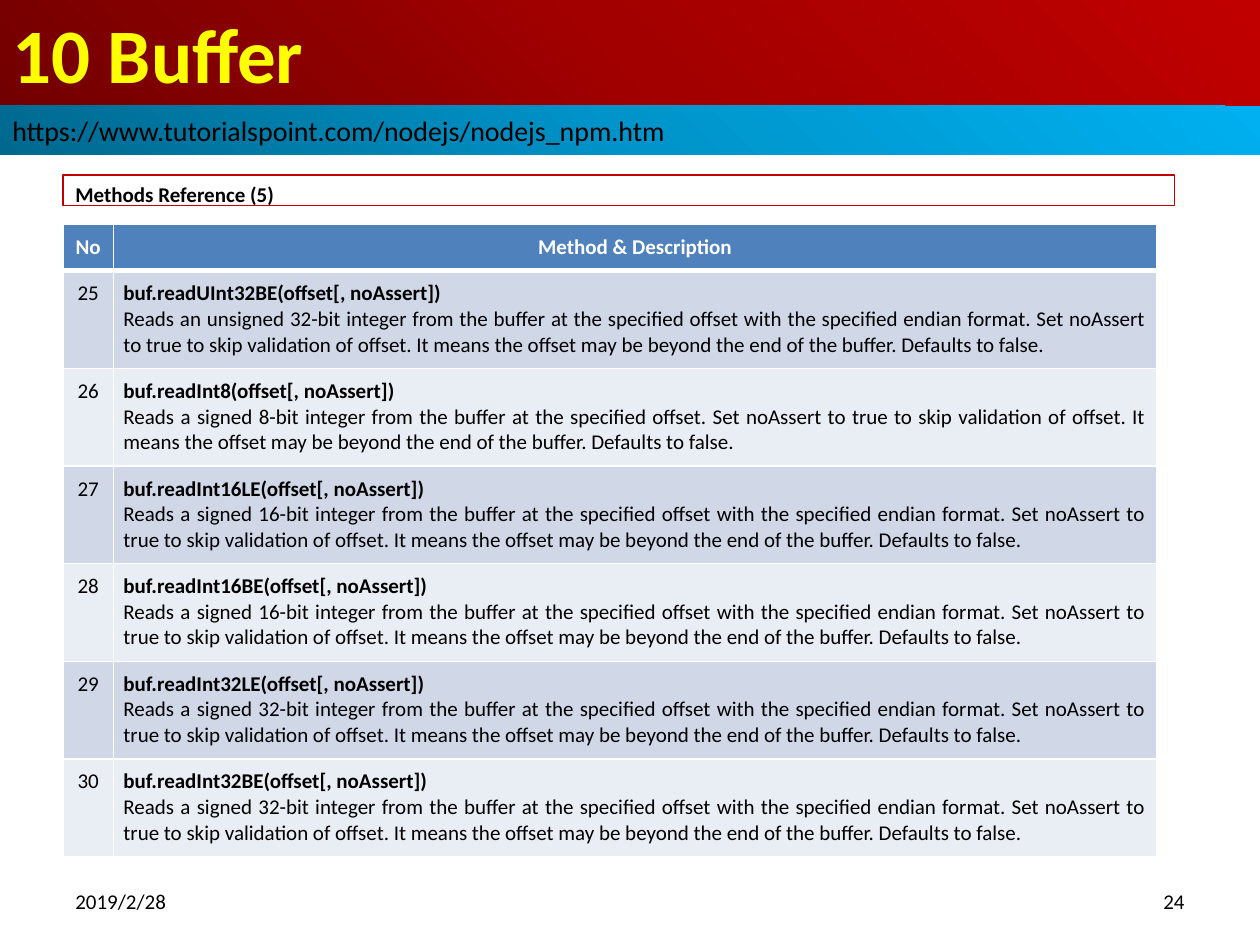
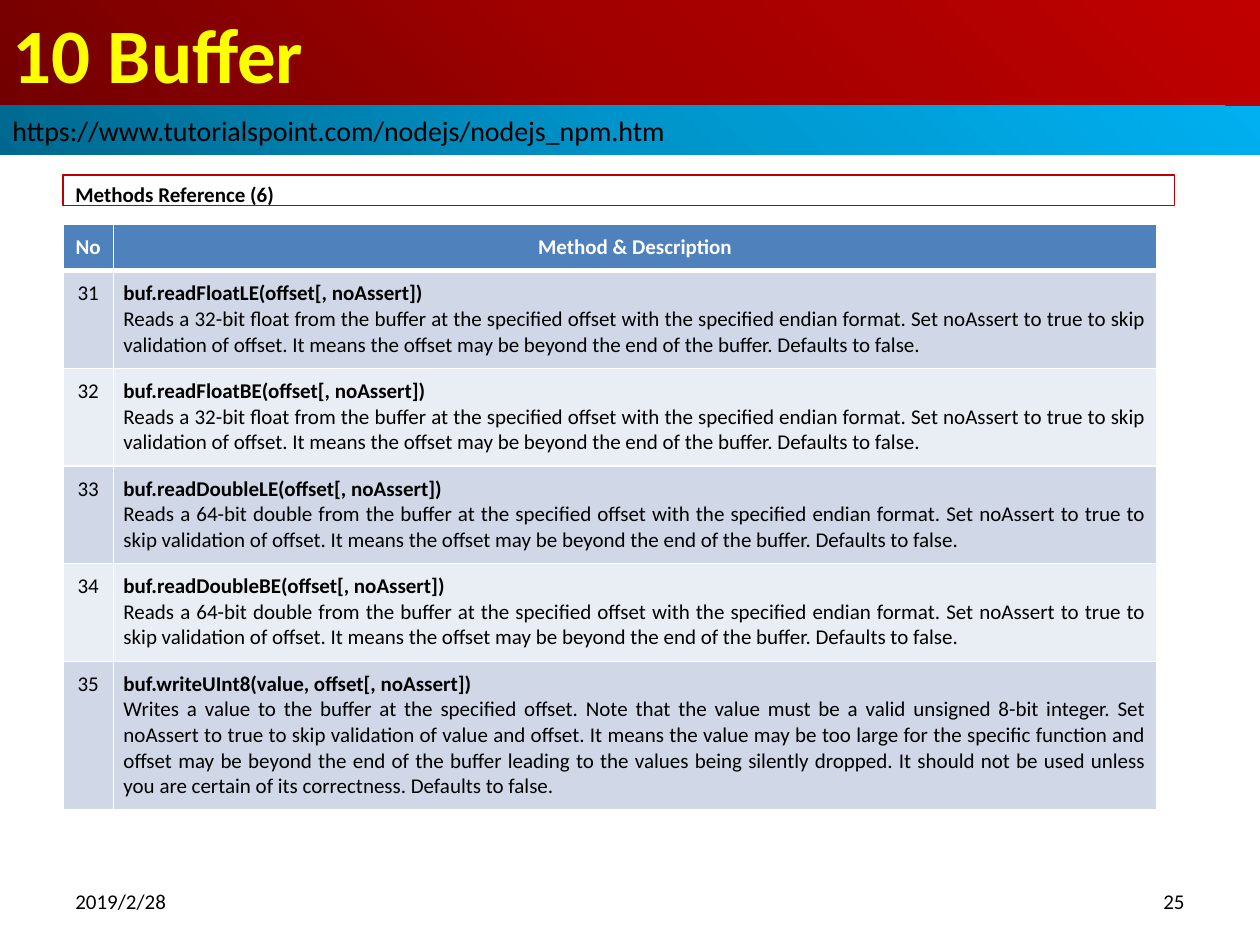
from math import ceil

from lxml import etree
from pptx import Presentation
from pptx.dml.color import RGBColor
from pptx.enum.shapes import MSO_SHAPE
from pptx.enum.text import MSO_ANCHOR, MSO_AUTO_SIZE, PP_ALIGN
from pptx.oxml.ns import qn
from pptx.util import Inches, Pt

TITLE = "10 Buffer"
SOURCE = "https://www.tutorialspoint.com/nodejs/nodejs_npm.htm"
DATE = "2019/2/28"
HEADERS = ("No", "Method & Description")

OFFSET = "from the buffer at the specified offset"
ENDIAN = f"{OFFSET} with the specified endian format."
SKIP = ("Set noAssert to true to skip validation of offset. It means the offset may be "
        "beyond the end of the buffer. Defaults to false.")
READ_ARGS = "(offset[, noAssert])"


def reader(name, value):
    return f"buf.{name}{READ_ARGS}", f"Reads {value} {ENDIAN} {SKIP}"


PAGES = [
    {"number": 24, "heading": "Methods Reference (5)", "first": 25, "methods": [
        reader("readUInt32BE", "an unsigned 32-bit integer"),
        (f"buf.readInt8{READ_ARGS}", f"Reads a signed 8-bit integer {OFFSET}. {SKIP}"),
        reader("readInt16LE", "a signed 16-bit integer"),
        reader("readInt16BE", "a signed 16-bit integer"),
        reader("readInt32LE", "a signed 32-bit integer"),
        reader("readInt32BE", "a signed 32-bit integer"),
    ]},
    {"number": 25, "heading": "Methods Reference (6)", "first": 31, "methods": [
        reader("readFloatLE", "a 32-bit float"),
        reader("readFloatBE", "a 32-bit float"),
        reader("readDoubleLE", "a 64-bit double"),
        reader("readDoubleBE", "a 64-bit double"),
        ("buf.writeUInt8(value, offset[, noAssert])",
         "Writes a value to the buffer at the specified offset. Note that the value must be a "
         "valid unsigned 8-bit integer. Set noAssert to true to skip validation of value and "
         "offset. It means the value may be too large for the specific function and offset may "
         "be beyond the end of the buffer leading to the values being silently dropped. It "
         "should not be used unless you are certain of its correctness. Defaults to false."),
    ]},
]

FONT = "Calibri"
BLACK = RGBColor(0x00, 0x00, 0x00)
WHITE = RGBColor(0xFF, 0xFF, 0xFF)
YELLOW = RGBColor(0xFF, 0xFF, 0x00)
RED = RGBColor(0xC0, 0x00, 0x00)
BULLET_BLUE = RGBColor(0x00, 0x70, 0xC0)
HEADER_BLUE = RGBColor(0x4F, 0x81, 0xBD)
BANDS = (RGBColor(0xD0, 0xD8, 0xE8), RGBColor(0xE9, 0xED, 0xF4))
RED_SHADES = (RGBColor(0x72, 0x00, 0x00), RGBColor(0xA2, 0x00, 0x00), RED)
BLUE_SHADES = (RGBColor(0x00, 0x68, 0x8E), RGBColor(0x00, 0x94, 0xCA), RGBColor(0x00, 0xB0, 0xF0))

LEFT, CENTER, RIGHT, JUSTIFY = PP_ALIGN.LEFT, PP_ALIGN.CENTER, PP_ALIGN.RIGHT, PP_ALIGN.JUSTIFY
TOP, MIDDLE = MSO_ANCHOR.TOP, MSO_ANCHOR.MIDDLE
RECTANGLE = MSO_SHAPE.RECTANGLE
TITLE_ONLY = 5

WIDTH, HEIGHT = Inches(10), Inches(7.5)
MARGIN = Inches(0.5)
TITLE_HEIGHT, SOURCE_HEIGHT = Inches(0.84), Inches(0.39)
HEADING_TOP, HEADING_WIDTH, HEADING_HEIGHT = Inches(1.39), Inches(8.82), Inches(0.24)
TABLE_TOP = Inches(1.78)
COLUMNS = (Inches(0.4), Inches(8.28))
CELL_INSET = Inches(0.08)
ROW_PADDING, LINE_HEIGHT = Pt(12), Pt(14.6)
CHARACTERS_PER_LINE = 120
FOOTER_TOP, FOOTER_WIDTH, FOOTER_HEIGHT = Inches(6.95), Inches(2.33), Inches(0.4)
INDENT = Inches(0.31)


def add_node(parent, tag, **attributes):
    node = etree.SubElement(parent, qn(tag))
    for name, value in attributes.items():
        node.set(name, str(value))
    return node


def style(para, size=12, color=BLACK, bold=False, align=LEFT):
    para.alignment = align
    para.font.name = FONT
    para.font.size = Pt(size)
    para.font.color.rgb = color
    para.font.bold = bold


def write(box, text, anchor=MIDDLE, **look):
    frame = box.text_frame
    frame.word_wrap = True
    frame.auto_size = MSO_AUTO_SIZE.NONE
    frame.vertical_anchor = anchor
    frame.text = text
    style(frame.paragraphs[0], **look)


def fill_gradient(box, shades):
    box.fill.solid()
    properties = box.fill._xPr
    gradient = etree.Element(qn("a:gradFill"), rotWithShape="1")
    stops = add_node(gradient, "a:gsLst")
    for index, shade in enumerate(shades):
        stop = add_node(stops, "a:gs", pos=index * 50000)
        add_node(stop, "a:srgbClr", val=shade)
    circle = add_node(gradient, "a:path", path="circle")
    add_node(circle, "a:fillToRect", t=100000, r=100000)
    properties.replace(properties.find(qn("a:solidFill")), gradient)


def add_rectangle(page, left, top, width, height):
    box = page.shapes.add_shape(RECTANGLE, left, top, width, height)
    box.shadow.inherit = False
    return box


def add_bands(page):
    title = page.shapes.title
    title.left, title.top, title.width, title.height = 0, 0, WIDTH, TITLE_HEIGHT
    fill_gradient(title, RED_SHADES)
    write(title, TITLE, size=44, color=YELLOW, bold=True)
    band = add_rectangle(page, 0, TITLE_HEIGHT, WIDTH, SOURCE_HEIGHT)
    band.line.fill.background()
    fill_gradient(band, BLUE_SHADES)
    write(band, SOURCE, size=16)


def add_footers(page, number):
    for left, text, align in ((MARGIN, DATE, LEFT),
                              (WIDTH - MARGIN - FOOTER_WIDTH, str(number), RIGHT)):
        box = page.shapes.add_textbox(left, FOOTER_TOP, FOOTER_WIDTH, FOOTER_HEIGHT)
        write(box, text, align=align)


def add_heading(page, text):
    box = add_rectangle(page, MARGIN, HEADING_TOP, HEADING_WIDTH, HEADING_HEIGHT)
    box.fill.background()
    box.line.color.rgb = RED
    box.line.width = Pt(0.75)
    properties = box.text_frame.paragraphs[0]._p.get_or_add_pPr()
    properties.set("marL", str(INDENT))
    properties.set("indent", str(-INDENT))
    add_node(add_node(properties, "a:buClr"), "a:srgbClr", val=BULLET_BLUE)
    add_node(properties, "a:buSzPct", val=90000)
    add_node(properties, "a:buChar", char="◆")
    write(box, text, anchor=TOP, bold=True)


def format_cell(cell, color, top=1, bottom=1):
    cell.margin_left = cell.margin_right = CELL_INSET
    cell.margin_top = cell.margin_bottom = CELL_INSET
    cell.fill.solid()
    cell.fill.fore_color.rgb = color
    properties = cell._tc.get_or_add_tcPr()
    borders = {"a:lnL": 1, "a:lnR": 1, "a:lnT": top, "a:lnB": bottom}
    for index, (side, points) in enumerate(borders.items()):
        line = etree.Element(qn(side), w=str(Pt(points)))
        add_node(add_node(line, "a:solidFill"), "a:srgbClr", val=WHITE)
        properties.insert(index, line)


def row_height(lines):
    return int(ROW_PADDING + lines * LINE_HEIGHT)


def add_methods(page, first, methods):
    heights = [row_height(1)]
    heights += [row_height(1 + ceil(len(text) / CHARACTERS_PER_LINE)) for _, text in methods]
    table = page.shapes.add_table(len(heights), len(COLUMNS), MARGIN, TABLE_TOP,
                                  sum(COLUMNS), sum(heights)).table
    for column, width in zip(table.columns, COLUMNS):
        column.width = width
    for row, height in zip(table.rows, heights):
        row.height = height
    for cell, text in zip(table.rows[0].cells, HEADERS):
        format_cell(cell, HEADER_BLUE, bottom=3)
        cell.text = text
        style(cell.text_frame.paragraphs[0], color=WHITE, bold=True, align=CENTER)
    for index, (signature, description) in enumerate(methods):
        number, method = table.rows[index + 1].cells
        for cell in (number, method):
            format_cell(cell, BANDS[index % 2], top=1 if index else 3)
        number.text = str(first + index)
        style(number.text_frame.paragraphs[0], align=CENTER)
        method.text = f"{signature}\n{description}"
        name, body = method.text_frame.paragraphs
        style(name, bold=True, align=JUSTIFY)
        style(body, align=JUSTIFY)


def main():
    deck = Presentation()
    deck.slide_width, deck.slide_height = WIDTH, HEIGHT
    for content in PAGES:
        page = deck.slides.add_slide(deck.slide_layouts[TITLE_ONLY])
        add_bands(page)
        add_footers(page, content["number"])
        add_heading(page, content["heading"])
        add_methods(page, content["first"], content["methods"])
    deck.save("out.pptx")


if __name__ == "__main__":
    main()
